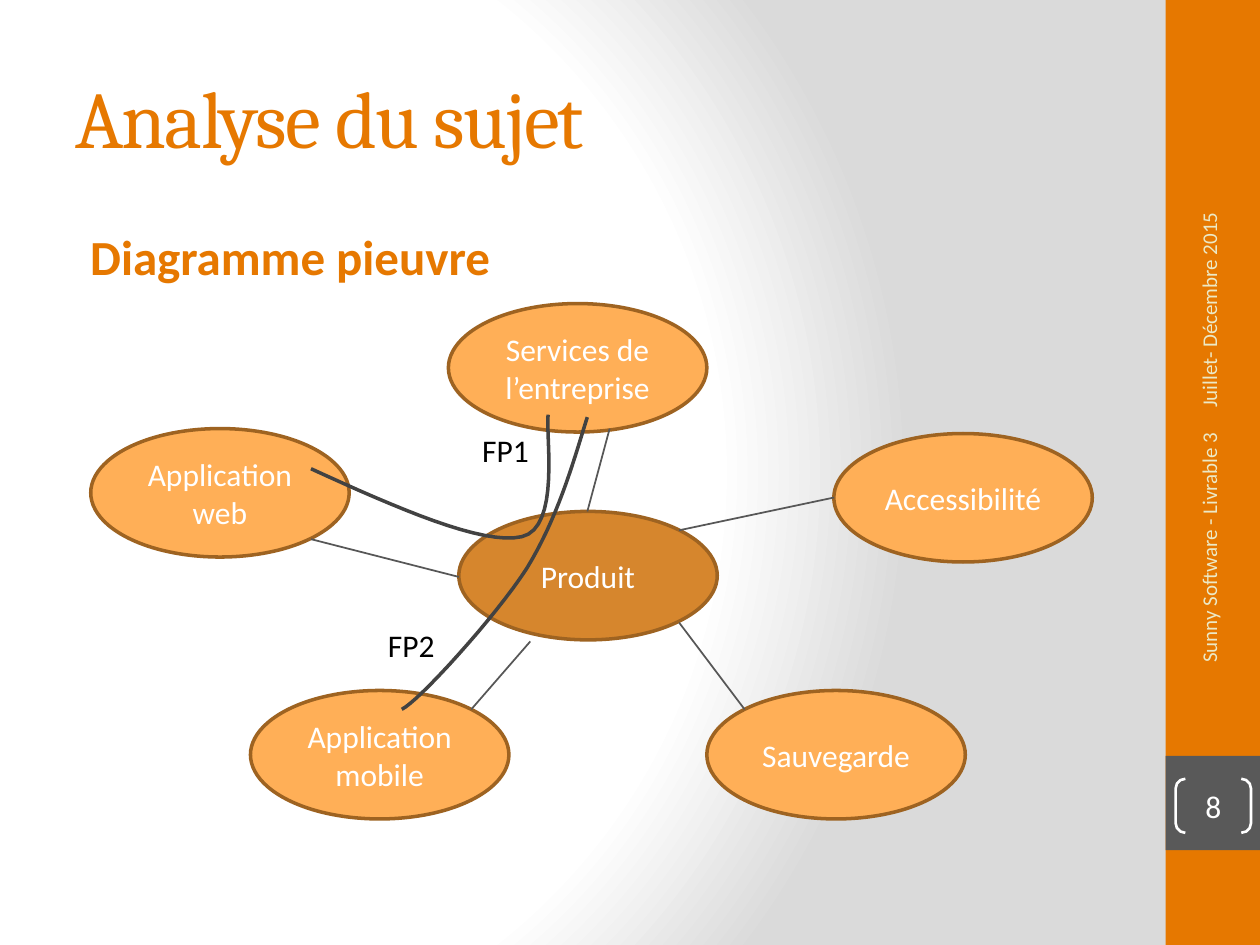
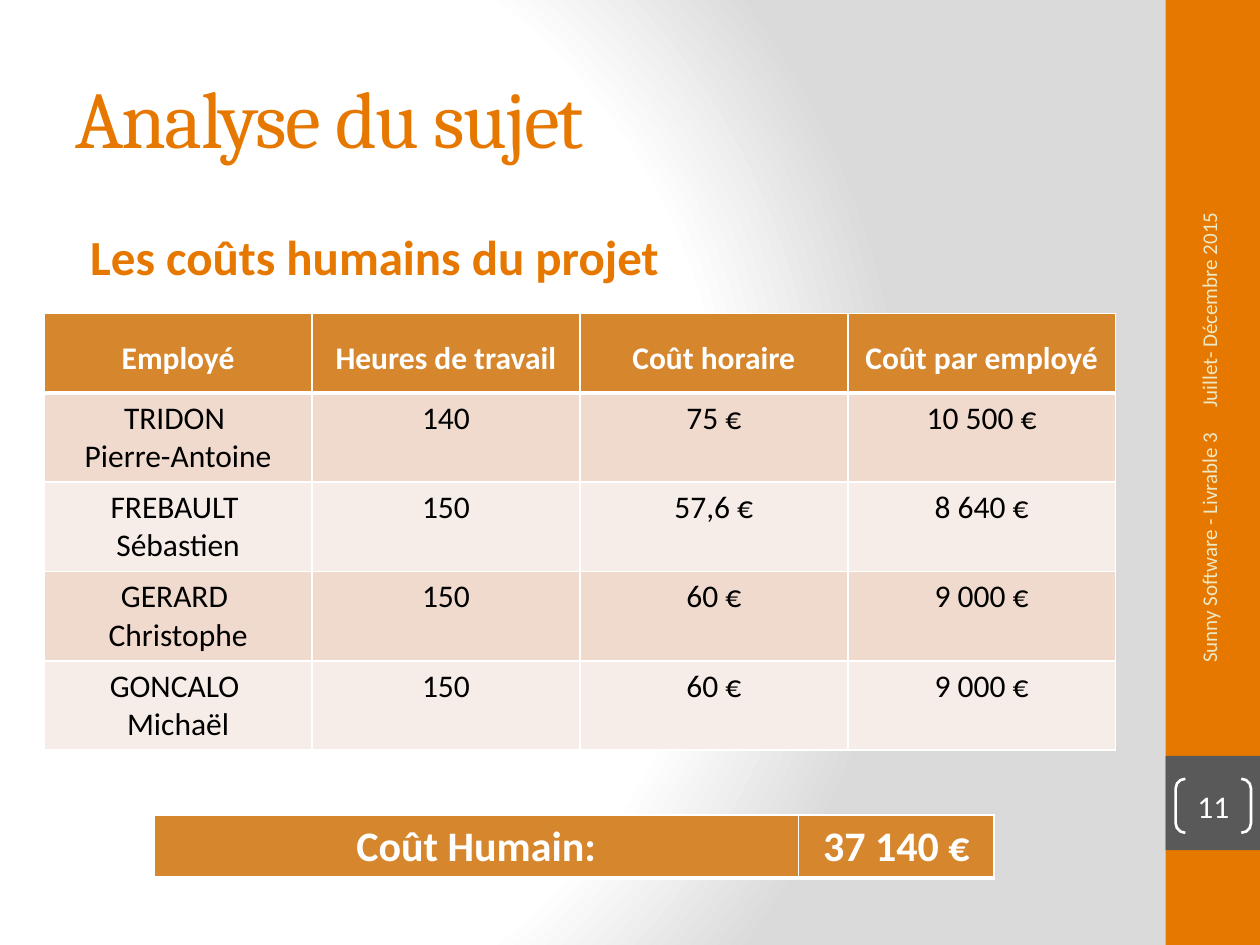
"""Build two project-analysis slides: an octopus diagram and the human costs."""
from pptx import Presentation
from pptx import oxml
from pptx import util as u
from pptx.dml.color import RGBColor
from pptx.enum import shapes, text
from pptx.oxml import ns

COLOURS = {
    "orange": "E67800", "grey": "595959", "cream": "ECE9C6", "white": "FFFFFF",
    "black": "000000", "amber": "FFAF57", "ochre": "D6862D", "outline": "9E6321",
    "link": "575757", "curve": "424242", "odd_row": "F0D9CD", "even_row": "F7EDE8",
    "shade": "DADADA",
}
RGB = {name: RGBColor.from_string(value) for name, value in COLOURS.items()}
CENTER, LEFT, RIGHT = text.PP_ALIGN.CENTER, text.PP_ALIGN.LEFT, text.PP_ALIGN.RIGHT
MIDDLE = text.MSO_ANCHOR.MIDDLE
PRESET = shapes.MSO_SHAPE
BACKGROUND = f"""<p:bg {ns.nsdecls("p", "a")}><p:bgPr><a:gradFill rotWithShape="1"><a:gsLst>
<a:gs pos="0"><a:srgbClr val="{COLOURS['white']}"/></a:gs>
<a:gs pos="75000"><a:srgbClr val="{COLOURS['white']}"/></a:gs>
<a:gs pos="100000"><a:srgbClr val="{COLOURS['shade']}"/></a:gs></a:gsLst>
<a:path path="circle"><a:fillToRect l="20000" t="50000" r="100000" b="50000"/></a:path>
</a:gradFill><a:effectLst/></p:bgPr></p:bg>"""


def write(frame, lines, size, colour, align=CENTER, bold=False, font="Calibri"):
    """Write each line as a one-run paragraph and return the last one."""
    frame.word_wrap = True
    for index, line in enumerate(lines):
        paragraph = frame.add_paragraph() if index else frame.paragraphs[0]
        paragraph.alignment = align
        run = paragraph.add_run()
        run.text = line
        run.font.size, run.font.bold, run.font.name = u.Pt(size), bold, font
        run.font.color.rgb = RGB[colour]
    return paragraph


def draw(slide, preset, box, fill=None, line=None, width=0):
    """Add a flat preset shape; box is given in centimetres."""
    shape = slide.shapes.add_shape(preset, *map(u.Cm, box))
    shape.shadow.inherit = False
    if fill:
        shape.fill.solid()
        shape.fill.fore_color.rgb = RGB[fill]
    else:
        shape.fill.background()
    if line:
        shape.line.color.rgb = RGB[line]
        shape.line.width = u.Pt(width)
    else:
        shape.line.fill.background()
    return shape


deck = Presentation()
deck.slide_width, deck.slide_height = u.Cm(25.4), u.Cm(19.05)

slides = []
for subtitle, number in [("Diagramme pieuvre", "8"), ("Les coûts humains du projet", "11")]:
    slide = deck.slides.add_slide(deck.slide_layouts[6])
    slide.element.cSld.insert(0, oxml.parse_xml(BACKGROUND))
    draw(slide, PRESET.RECTANGLE, (23.5, 0, 1.9, 19.05), "orange")
    draw(slide, PRESET.RECTANGLE, (23.5, 15.24, 1.9, 1.9), "grey")

    title = slide.shapes.add_textbox(*map(u.Cm, (1.27, 0.76, 21.16, 3.18))).text_frame
    title.vertical_anchor = MIDDLE
    heading = write(title, ["Analyse du sujet"], 46, "orange", LEFT, font="Cambria")
    heading.runs[0]._r.get_or_add_rPr().set("spc", "-100")

    body = slide.shapes.add_textbox(*map(u.Cm, (1.27, 4.45, 21.16, 13.34))).text_frame
    topic = write(body, [subtitle], 28, "orange", LEFT, bold=True)
    topic.space_before = u.Pt(5.6)
    topic._p.get_or_add_pPr().set("marL", str(u.Cm(0.3)))

    for words, box, align in [
        ("Juillet- Décembre 2015", (20.98, 4.57, 6.78, 1.02), LEFT),
        ("Sunny Software - Livrable 3", (21.08, 11.25, 6.58, 1.02), RIGHT),
    ]:
        footer = slide.shapes.add_textbox(*map(u.Cm, box))
        footer.rotation = 270
        footer.text_frame.vertical_anchor = MIDDLE
        write(footer.text_frame, [words], 12, "cream", align)

    page = draw(slide, PRESET.DOUBLE_BRACKET, (23.7, 15.7, 1.52, 1.09), None, "white", 1.5)
    page.adjustments[0] = 0.18
    page_text = page.text_frame
    page_text.margin_left = page_text.margin_right = 0
    page_text.margin_top = page_text.margin_bottom = 0
    page_text.vertical_anchor = MIDDLE
    write(page_text, [number], 18, "white")
    slides.append(slide)

diagram, costs = slides

for label, left, top, fill in [
    ("Services de l’entreprise", 9.04, 6.12, "amber"),
    ("Sauvegarde", 14.25, 13.92, "amber"),
    ("Application mobile", 5.05, 13.92, "amber"),
    ("Application web", 1.83, 8.64, "amber"),
    ("Accessibilité", 16.81, 8.74, "amber"),
    ("Produit", 9.25, 10.31, "ochre"),
]:
    bubble = draw(diagram, PRESET.OVAL, (left, top, 5.21, 2.59), fill, "outline", 2)
    bubble.text_frame.vertical_anchor = MIDDLE
    write(bubble.text_frame, [label], 18, "white")

for ends in [
    (12.29, 8.64, 11.84, 10.31),
    (16.81, 10.03, 13.69, 10.69),
    (15.01, 14.3, 13.69, 12.55),
    (9.5, 14.3, 10.69, 12.93),
    (6.27, 10.87, 9.25, 11.63),
]:
    link = diagram.shapes.add_connector(shapes.MSO_CONNECTOR.STRAIGHT, *map(u.Cm, ends))
    link.line.color.rgb = RGB["link"]
    link.line.width = u.Pt(1)
    link.element.spPr.append(oxml.parse_xml(f"<a:effectLst {ns.nsdecls('a')}/>"))

STEPS = 16
for controls in [
    [(6.27, 9.45), (8, 10.24), (9.73, 11), (10.52, 10.82), (11.3, 10.64), (11, 8.79), (11.05, 8.36)],
    [(11.84, 8.41), (11.53, 9.42), (11.23, 10.46), (10.62, 11.46), (9.98, 12.45), (8.43, 14.15), (8.1, 14.3)],
]:
    points = []
    for first in (0, 3):
        for step in range(1, STEPS + 1):
            t = step / STEPS
            weights = ((1 - t) ** 3, 3 * t * (1 - t) ** 2, 3 * t * t * (1 - t), t ** 3)
            points.append([
                u.Cm(sum(w * point[axis] for w, point in zip(weights, controls[first:first + 4])))
                for axis in (0, 1)
            ])
    outline = diagram.shapes.build_freeform(*map(u.Cm, controls[0]))
    outline.add_line_segments(points, close=False)
    function_curve = outline.convert_to_shape()
    function_curve.shadow.inherit = False
    function_curve.fill.background()
    function_curve.line.color.rgb = RGB["curve"]
    function_curve.line.width = u.Pt(2)

for label, left, top in [("FP1", 9.47, 8.56), ("FP2", 7.57, 12.5)]:
    tag = diagram.shapes.add_textbox(*map(u.Cm, (left, top, 1.75, 1.02)))
    write(tag.text_frame, [label], 18, "black", LEFT)

employee_rows = [
    [["Employé"], ["Heures de travail"], ["Coût horaire"], ["Coût par employé"]],
    [["TRIDON ", "Pierre-Antoine"], ["140"], ["75 €"], ["10 500 €"]],
    [["FREBAULT ", "Sébastien"], ["150"], ["57,6 €"], ["8 640 €"]],
    [["GERARD ", "Christophe"], ["150"], ["60 €"], ["9 000 €"]],
    [["GONCALO ", "Michaël"], ["150"], ["60 €"], ["9 000 €"]],
]
total_row = [[["Coût Humain:"], ["37 140 €"]]]

for rows, left, top, widths, heights, header_size, spacing in [
    (employee_rows, 0.89, 6.32, [5.4] * 4, [1.6] + [1.8] * 4, 18, 1.5),
    (total_row, 3.1, 16.43, [13, 3.94], [1.27], 24, 1),
]:
    grid = costs.shapes.add_table(
        len(rows), len(widths), *map(u.Cm, (left, top, sum(widths), sum(heights)))).table
    for column, width in zip(grid.columns, widths):
        column.width = u.Cm(width)
    for r, (row, height) in enumerate(zip(rows, heights)):
        grid.rows[r].height = u.Cm(height)
        header = r == 0
        fill = "ochre" if header else ("even_row", "odd_row")[r % 2]
        for c, lines in enumerate(row):
            cell = grid.cell(r, c)
            cell.fill.solid()
            cell.fill.fore_color.rgb = RGB[fill]
            last = write(cell.text_frame, lines, header_size if header else 18,
                         "white" if header else "black", bold=header)
            if header:
                last.line_spacing = spacing
            borders = {"lnL": 1, "lnR": 1, "lnT": 3 if r == 1 else 1, "lnB": 3 if header else 1}
            for place, (side, weight) in enumerate(borders.items()):
                cell._tc.get_or_add_tcPr().insert(place, oxml.parse_xml(
                    f'<a:{side} {ns.nsdecls("a")} w="{u.Pt(weight)}"><a:solidFill>'
                    f'<a:srgbClr val="{COLOURS["white"]}"/></a:solidFill></a:{side}>'))

deck.save("out.pptx")
